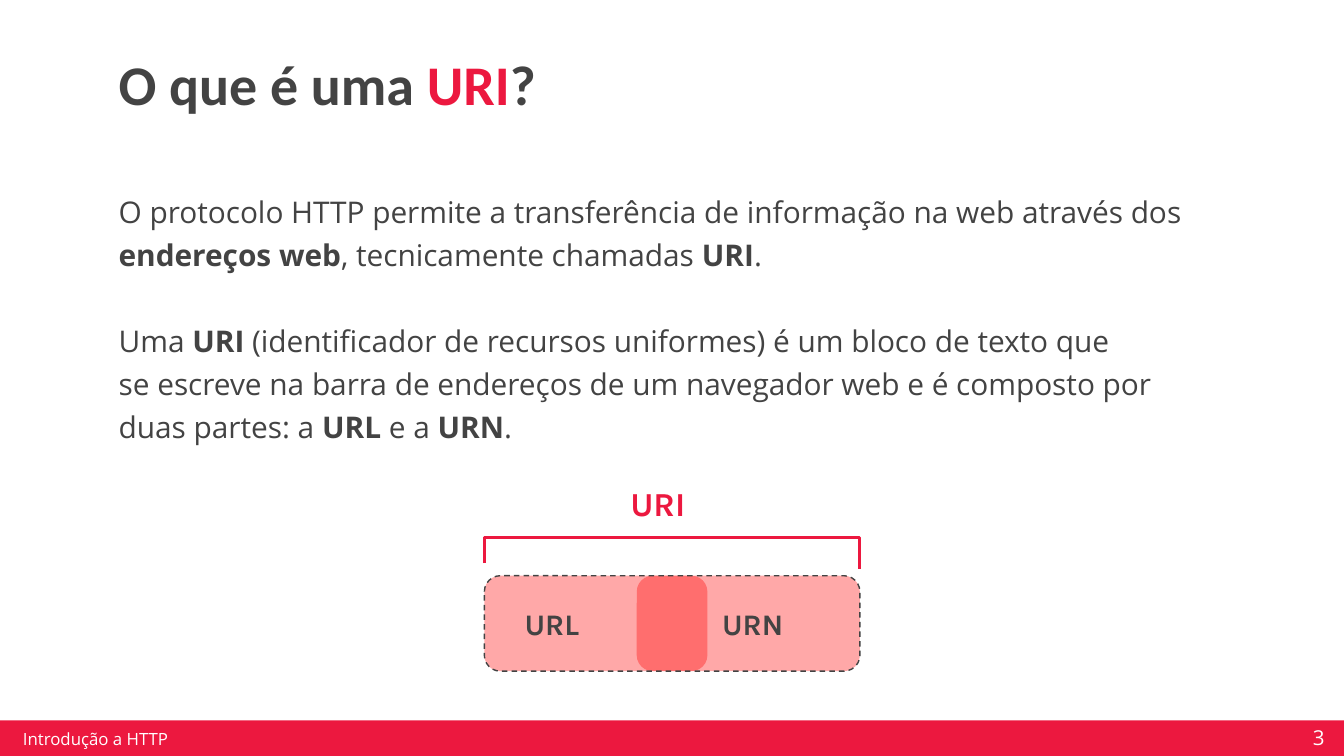
"""Build the slide that explains what a URI is."""
from lxml.etree import SubElement
from pptx import Presentation
from pptx.dml.color import RGBColor
from pptx.enum.dml import MSO_LINE
from pptx.enum.shapes import MSO_SHAPE as Preset
from pptx.enum.text import MSO_ANCHOR as Anchor, MSO_AUTO_SIZE as AutoSize, PP_ALIGN as Align
from pptx.oxml.ns import qn
from pptx.util import Inches, Pt

CELL = Inches(0.1)
COLUMNS, ROWS = 100, 56.25
TEXT_LEFT, TEXT_WIDTH = 7.83, 84.3
RED, GREY, WHITE, PURE_RED = "EC183F", "434343", "FFFFFF", "FF0000"
URI_LEFT, URI_WIDTH = 36.04, 27.94
PART_TOP, PART_WIDTH, PART_HEIGHT = 42.84, 16.6, 7.1
PARAGRAPHS = [
    [("O protocolo HTTP permite a transferência de informação na web através dos ", False),
     ("endereços web", True), (", tecnicamente chamadas ", False), ("URI", True), (".", False)],
    [("Uma ", False), ("URI", True),
     (" (identificador de recursos uniformes) é um bloco de texto que \n"
      "se escreve na barra de endereços de um navegador web e é composto por duas partes: a ", False),
     ("URL ", True), ("e a ", False), ("URN", True), (".", False)],
]


def cells(*counts):
    """Turn counts of grid cells into lengths."""
    return [round(count * CELL) for count in counts]


def color(hex_code):
    """Turn a hex string into a colour."""
    return RGBColor.from_string(hex_code)


def style(run, font, size, hex_code, bold=False):
    """Format one run."""
    run.font.name, run.font.size, run.font.bold = font, Pt(size), bold
    run.font.color.rgb = color(hex_code)


def set_frame(frame, anchor, margins=(1, 1, 1, 1)):
    """Set wrapping, anchor and margins of a text frame."""
    frame.word_wrap, frame.auto_size, frame.vertical_anchor = True, AutoSize.NONE, anchor
    (frame.margin_left, frame.margin_top,
     frame.margin_right, frame.margin_bottom) = cells(*margins)


def place(placeholder, area):
    """Move a placeholder to an area of the grid."""
    (placeholder.left, placeholder.top,
     placeholder.width, placeholder.height) = cells(*area)


def add_title(slide):
    """Fill the title with its highlighted term."""
    title = slide.shapes.title
    place(title, (TEXT_LEFT, 2.85, TEXT_WIDTH, 6.9))
    set_frame(title.text_frame, Anchor.BOTTOM)
    question = title.text_frame.paragraphs[0]
    question.alignment, question.line_spacing = Align.LEFT, 0.9
    for words, hex_code in (("O que é uma ", GREY), ("URI", RED), ("?", GREY)):
        run = question.add_run()
        run.text = words
        style(run, "Calibri", 30, hex_code, True)


def add_explanation(slide):
    """Fill the body with the two explaining paragraphs."""
    body = slide.placeholders[1]
    place(body, (TEXT_LEFT, 12.9, TEXT_WIDTH, 21))
    set_frame(body.text_frame, Anchor.TOP)
    for index, pieces in enumerate(PARAGRAPHS):
        paragraph = body.text_frame.add_paragraph() if index else body.text_frame.paragraphs[0]
        paragraph.line_spacing, paragraph.alignment = 1.2, Align.LEFT
        paragraph.space_before, paragraph.space_after = Pt(23 * index), Pt(0)
        properties = paragraph._p.get_or_add_pPr()
        properties.set("marL", "0")
        properties.set("indent", "0")
        SubElement(properties, qn("a:buNone"))
        for words, bold in pieces:
            for line_number, line in enumerate(words.split("\n")):
                if line_number:
                    paragraph.add_line_break()
                run = paragraph.add_run()
                run.text = line
                style(run, "Open Sans", 16, GREY, bold)


def add_label(slide, area, words, font, size, hex_code,
              bold=False, align=Align.LEFT, margins=(1, 1, 1, 1)):
    """Add a one-line text box."""
    label = slide.shapes.add_textbox(*cells(*area))
    set_frame(label.text_frame, Anchor.MIDDLE, margins)
    line = label.text_frame.paragraphs[0]
    line.text, line.alignment = words, align
    style(line.runs[0], font, size, hex_code, bold)


def add_block(slide, preset, area, fill=None, opacity=None):
    """Add a shape without line, filled with a colour that may be translucent."""
    block = slide.shapes.add_shape(preset, *cells(*area))
    block.shadow.inherit = False
    block.line.fill.background()
    if fill is None:
        block.fill.background()
        return block
    block.fill.solid()
    block.fill.fore_color.rgb = color(fill)
    if opacity:
        fill_color = block._element.spPr.find(qn("a:solidFill"))[0]
        SubElement(fill_color, qn("a:alpha"), val=str(opacity * 1000))
    return block


def add_outline(slide):
    """Add the dashed outline that names both parts of a URI."""
    outline = add_block(slide, Preset.ROUNDED_RECTANGLE,
                        (URI_LEFT, PART_TOP, URI_WIDTH, PART_HEIGHT))
    outline.line.color.rgb, outline.line.width = color(GREY), Pt(0.75)
    outline.line.dash_style = MSO_LINE.DASH
    set_frame(outline.text_frame, Anchor.MIDDLE, (2.65, 1, 1, 1))
    names = outline.text_frame.paragraphs[0]
    names.text, names.alignment = "URL\tURN", Align.LEFT
    stops = SubElement(names._p.get_or_add_pPr(), qn("a:tabLst"))
    SubElement(stops, qn("a:tab"), pos=str(cells(14.7)[0]), algn="l")
    for run in names.runs:
        style(run, "Karla", 16, GREY, True)


def add_bracket(slide):
    """Add the bracket that spans the whole URI."""
    right = URI_LEFT + URI_WIDTH
    start, *corners = [cells(*point) for point in (
        (URI_LEFT, 41.9), (URI_LEFT, 40), (right, 40), (right, 42.35))]
    builder = slide.shapes.build_freeform(*start)
    builder.add_line_segments(corners, close=False)
    bracket = builder.convert_to_shape()
    bracket.shadow.inherit = False
    bracket.fill.background()
    bracket.line.color.rgb, bracket.line.width = color(RED), Pt(1.5)


def add_diagram(slide):
    """Draw the URI as two overlapping parts under a bracket."""
    for left in (URI_LEFT + URI_WIDTH - PART_WIDTH, URI_LEFT):
        add_block(slide, Preset.ROUNDED_RECTANGLE,
                  (left, PART_TOP, PART_WIDTH, PART_HEIGHT), PURE_RED, 34)
    add_bracket(slide)
    add_label(slide, (43.65, 35.05, 10.6, 4.8), "URI", "Karla", 18, RED, True, Align.CENTER)
    add_outline(slide)


def add_footer(slide):
    """Add the footer band with topic and page number."""
    add_block(slide, Preset.RECTANGLE, (-0.2, 53.6, COLUMNS + 0.3, ROWS - 53.6), RED)
    add_label(slide, (96.7, 52.7, 6, 4.3), "3", "Open Sans", 11, WHITE)
    add_label(slide, (1.2, 54.2, 23.9, 1.5), "Introdução a HTTP", "Open Sans", 9, WHITE,
              margins=(0.5, 0.2, 0.5, 0.2))


def main():
    """Build and save the presentation."""
    deck = Presentation()
    deck.slide_width, deck.slide_height = cells(COLUMNS, ROWS)
    slide = deck.slides.add_slide(deck.slide_layouts[1])
    add_footer(slide)
    add_title(slide)
    add_explanation(slide)
    add_diagram(slide)
    deck.save("out.pptx")


if __name__ == "__main__":
    main()
